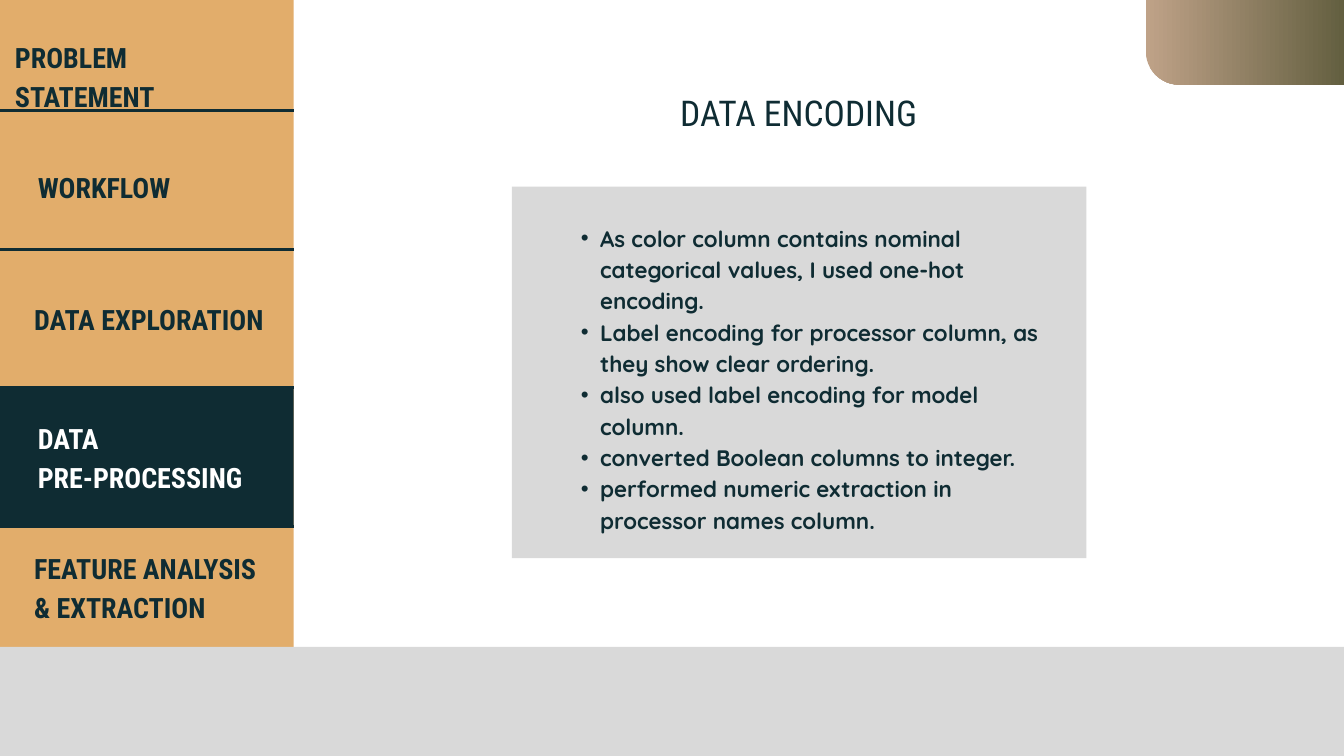
import dataclasses

import lxml.etree
import pptx
import pptx.dml.color
import pptx.enum.shapes
import pptx.enum.text
import pptx.oxml.ns
import pptx.util

Pt = pptx.util.Pt
Color = pptx.dml.color.RGBColor
Shape = pptx.enum.shapes.MSO_SHAPE
qn = pptx.oxml.ns.qn


@dataclasses.dataclass(frozen=True)
class Theme:
    dark: Color = Color.from_string("0F2C33")
    sand: Color = Color.from_string("E2AD6B")
    grey: Color = Color.from_string("D9D9D9")
    white: Color = Color.from_string("FFFFFF")
    corner_start: Color = Color.from_string("BFA288")
    corner_end: Color = Color.from_string("4D4F2F")
    heading_font: str = "Roboto Condensed"
    body_font: str = "Quicksand"
    title_size: int = 38
    menu_size: int = 30
    body_size: int = 24
    leading: float = 1.4


theme = Theme()
deck = pptx.Presentation()
deck.slide_width, deck.slide_height = Pt(1440), Pt(810)
page = deck.slides.add_slide(deck.slide_layouts[6])


def add_panel(left, top, width, height, color, kind=Shape.RECTANGLE):
    panel = page.shapes.add_shape(kind, Pt(left), Pt(top), Pt(width), Pt(height))
    panel.shadow.inherit = False
    panel.fill.solid()
    panel.fill.fore_color.rgb = color
    panel.line.fill.background()
    return panel


def add_text(left, top, width, height, text, size, font, color=theme.dark, bold=True):
    """Add a text box without margins and return its paragraphs."""
    box = page.shapes.add_textbox(Pt(left), Pt(top), Pt(width), Pt(height))
    frame = box.text_frame
    frame.margin_left = frame.margin_top = frame.margin_right = frame.margin_bottom = 0
    frame.word_wrap = True
    frame.text = text
    for para in frame.paragraphs:
        para.line_spacing = Pt(size * theme.leading)
        for span in para.runs:
            span.font.name = font
            span.font.size = Pt(size)
            span.font.bold = bold
            span.font.color.rgb = color
    return frame.paragraphs


# Side menu
menu_width = 314.6
first_divider, menu_step = 118.8, 148.3
add_panel(0, 0, menu_width, 810, theme.sand)
add_panel(0, first_divider + 2 * menu_step - 1.5, menu_width, menu_step + 2, theme.dark)

for index in range(4):
    y = Pt(first_divider + index * menu_step)
    divider = page.shapes.add_connector(
        pptx.enum.shapes.MSO_CONNECTOR.STRAIGHT, 0, y, Pt(menu_width), y)
    divider.line.color.rgb = theme.dark
    divider.line.width = Pt(3)
    lxml.etree.SubElement(divider._element.spPr, qn("a:effectLst"))

menu = [
    (16, 37, 265, 41, "PROBLEM STATEMENT", theme.dark),
    (40.5, 176.5, 405, 41, "WORKFLOW", theme.dark),
    (36.5, 318, 405, 41, "DATA EXPLORATION", theme.dark),
    (40.5, 445.5, 274, 83.5, "DATA\nPRE-PROCESSING", theme.white),
    (36.5, 585, 405, 83.5, "FEATURE ANALYSIS\n& EXTRACTION", theme.dark),
]
for left, top, width, height, label, color in menu:
    add_text(left, top, width, height, label, theme.menu_size, theme.heading_font, color)

# Title
title = add_text(692, 90, 327.5, 50, "DATA ENCODING",
                 theme.title_size, theme.heading_font, bold=False)
title[0].alignment = pptx.enum.text.PP_ALIGN.CENTER

# Encoding steps
add_panel(548.6, 200, 615.4, 398, theme.grey)
steps = [
    "As color column contains nominal categorical values, I used one-hot encoding.",
    "Label encoding for processor column, as they show clear ordering.",
    "also used label encoding for model column.",
    "converted Boolean columns to integer.",
    "performed numeric extraction in processor names column.",
]
for para in add_text(602, 236, 525.6, 328.5, "\n".join(steps),
                     theme.body_size, theme.body_font):
    para.level = 1
    properties = para._p.get_or_add_pPr()
    properties.set("marL", str(Pt(41)))
    properties.set("indent", str(-Pt(20.5)))
    lxml.etree.SubElement(properties, qn("a:buFont"), typeface="Arial")
    lxml.etree.SubElement(properties, qn("a:buChar"), char="•")

# Footer band and corner ornament
add_panel(0, 693, 1440, 117, theme.grey)
corner = add_panel(1227.6, -147.6, 262.4, 238.3, theme.corner_start, Shape.ROUNDED_RECTANGLE)
corner.adjustments[0] = 0.15
corner.fill.gradient()
corner.fill.gradient_angle = 0
for stop, color in zip(corner.fill.gradient_stops, (theme.corner_start, theme.corner_end)):
    stop.color.rgb = color

deck.save("out.pptx")
